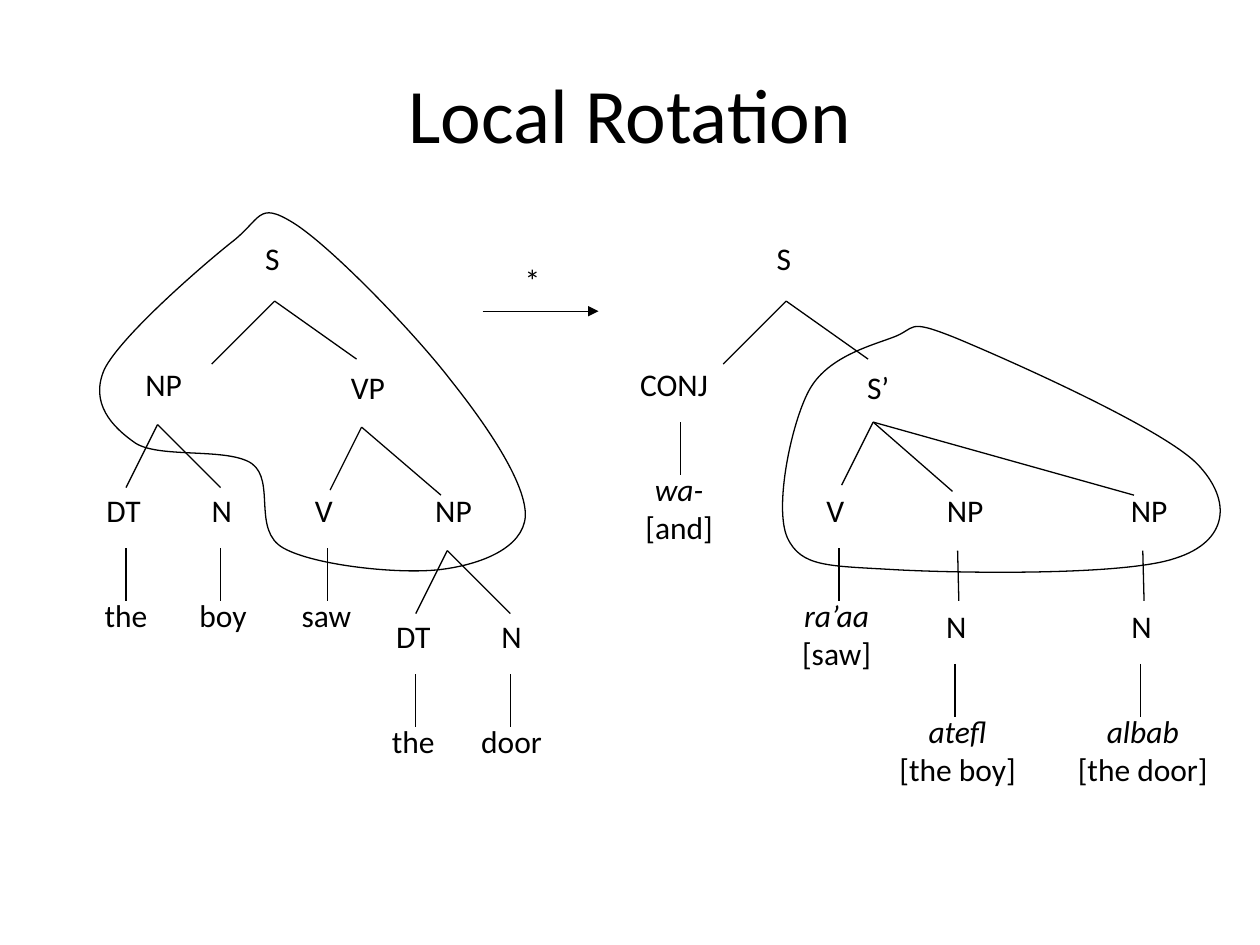
from pptx import Presentation
from pptx.dml.color import RGBColor
from pptx.enum.shapes import MSO_CONNECTOR
from pptx.enum.text import MSO_ANCHOR, MSO_AUTO_SIZE, PP_ALIGN
from pptx.oxml.ns import qn
from pptx.util import Inches, Pt
from lxml.etree import SubElement

COLORS = {"ink": "000000", "paper": "FFFFFF"}
FONT = "Calibri"

# Grid: ten columns across; tree levels one row apart, counted from the roots
COL = ROW = Inches(1)
ROOT_TOP = Inches(1.85)
LABEL_H, LINE_H = 0.5, 0.4
STEM = 0.42

# Label box widths in columns
WIDTHS = {"S": 0.39, "*": 0.37, "NP": 0.63, "VP": 0.63, "DT": 0.65, "N": 0.44,
          "V": 0.44, "S’": 0.5, "CONJ": 1.04, "the": 0.61, "boy": 0.7,
          "saw": 0.72, "door": 0.81, "wa-": 0.9, "ra’aa": 0.94,
          "atefl": 1.41, "albab": 1.52}

# Labels: text, centre column, level
SOURCE_NODES = [
    ("S", 2.2, 0), ("NP", 1.3, 1), ("VP", 2.92, 1.02),
    ("DT", 0.98, 2), ("N", 1.76, 2), ("V", 2.57, 2), ("NP", 3.6, 2),
    ("the", 1, 2.83), ("boy", 1.77, 2.83), ("saw", 2.59, 2.83),
    ("DT", 3.28, 3), ("N", 4.06, 3), ("the", 3.28, 3.83), ("door", 4.06, 3.83),
]
TARGET_NODES = [
    ("S", 6.26, 0), ("CONJ", 5.35, 1), ("S’", 6.97, 1.02),
    ("V", 6.63, 2), ("NP", 7.66, 2), ("NP", 9.12, 2),
    ("N", 7.59, 2.92), ("N", 9.06, 2.92),
]
# Words with a gloss: word, gloss, centre column, level
GLOSSES = [
    ("wa-", "[and]", 5.39, 1.83), ("ra’aa", "[saw]", 6.64, 2.83),
    ("atefl", "[the boy]", 7.6, 3.75), ("albab", "[the door]", 9.07, 3.75),
]

# Branches: parent point, then the offsets of the children
BRANCHES = [
    ((2.18, 0.54), [(-0.5, 0.5), (0.65, 0.46)]),
    ((1.25, 1.52), [(0.5, 0.5), (-0.25, 0.5)]),
    ((2.87, 1.54), [(0.63, 0.54), (-0.25, 0.5)]),
    ((3.55, 2.52), [(0.5, 0.5), (-0.25, 0.5)]),
    ((6.24, 0.54), [(-0.5, 0.5), (0.65, 0.46)]),
    ((6.93, 1.5), [(0.63, 0.55), (-0.25, 0.5), (2.07, 0.58)]),
    ((7.6, 2.52), [(0.01, 0.4)]),
    ((9.07, 2.52), [(0.01, 0.4)]),
]
# Tops of the vertical stems above the words
STEMS = [(1, 2.5), (1.75, 2.5), (2.6, 2.5), (3.3, 3.5), (4.05, 3.5),
         (5.4, 1.5), (6.66, 2.5), (7.58, 3.42), (9.05, 3.42)]

# Loops round the rotated parts: start, then curves of three points each
SOURCE_LOOP = [
    (1.83, 0.08),
    (1.58, 0.28), (0.96, 0.82), (0.83, 1.08),
    (0.71, 1.35), (0.89, 1.54), (1.08, 1.67),
    (1.28, 1.79), (1.81, 1.7), (2, 1.83),
    (2.19, 1.97), (2, 2.36), (2.25, 2.5),
    (2.5, 2.64), (3.18, 2.71), (3.5, 2.67),
    (3.82, 2.63), (4.15, 2.5), (4.17, 2.25),
    (4.18, 2), (3.89, 1.56), (3.58, 1.17),
    (3.28, 0.78), (2.62, 0.1), (2.33, -0.08),
    (2.04, -0.26), (2.08, -0.11), (1.83, 0.08),
]
TARGET_LOOP = [
    (7.08, 0.83),
    (6.89, 0.9), (6.56, 0.99), (6.42, 1.25),
    (6.28, 1.51), (6.14, 2.18), (6.25, 2.42),
    (6.36, 2.65), (6.57, 2.64), (7.08, 2.67),
    (7.6, 2.7), (8.93, 2.72), (9.33, 2.58),
    (9.74, 2.45), (9.79, 2.13), (9.5, 1.83),
    (9.21, 1.54), (7.99, 1), (7.58, 0.83),
    (7.18, 0.67), (7.28, 0.76), (7.08, 0.83),
]


def place(col, level):
    return int(col * COL), int(ROOT_TOP + level * ROW)


def color(name):
    return RGBColor.from_string(COLORS[name])


def add_text(slide, lines, box, size=18, align=PP_ALIGN.CENTER,
             anchor=MSO_ANCHOR.TOP, wrap=False, italic_first=False):
    tf = slide.shapes.add_textbox(*box).text_frame
    tf.word_wrap = wrap
    tf.auto_size = MSO_AUTO_SIZE.NONE if wrap else MSO_AUTO_SIZE.SHAPE_TO_FIT_TEXT
    tf.vertical_anchor = anchor
    for i, line in enumerate(lines):
        p = tf.paragraphs[0] if i == 0 else tf.add_paragraph()
        p.alignment = align
        r = p.add_run()
        r.text = line
        r.font.name, r.font.size = FONT, Pt(size)
        r.font.color.rgb = color("ink")
        r.font.italic = italic_first and i == 0


def add_label(slide, lines, col, level, **fmt):
    width = WIDTHS[lines[0]]
    height = LABEL_H + LINE_H * (len(lines) - 1)
    x, y = place(col - width / 2, level)
    add_text(slide, lines, (x, y, int(width * COL), int(height * ROW)), **fmt)


def set_outline(sp):
    sp.line.color.rgb = color("ink")
    sp.line.width = Pt(0.75)


def add_line(slide, start, end, arrow=False):
    sp = slide.shapes.add_connector(MSO_CONNECTOR.STRAIGHT,
                                    *place(*start), *place(*end))
    set_outline(sp)
    if arrow:
        SubElement(sp.line._get_or_add_ln(), qn("a:tailEnd"), type="triangle")
    SubElement(sp._element.spPr, qn("a:effectLst"))


def add_loop(slide, points):
    start, *rest = [place(*pt) for pt in points]
    builder = slide.shapes.build_freeform(*start)
    builder.add_line_segments(rest, close=True)
    sp = builder.convert_to_shape()
    # Turn every three straight segments into one Bézier curve
    segments = list(sp._element.iter(qn("a:lnTo")))
    for i in range(0, len(points) - 1, 3):
        first, *others = segments[i:i + 3]
        first.tag = qn("a:cubicBezTo")
        for seg in others:
            first.append(seg[0])
            seg.getparent().remove(seg)
    sp.fill.background()
    sp.shadow.inherit = False
    set_outline(sp)


def main():
    prs = Presentation()
    prs.slide_width, prs.slide_height = Inches(10), Inches(7.5)
    slide = prs.slides.add_slide(prs.slide_layouts[6])
    slide.background.fill.solid()
    slide.background.fill.fore_color.rgb = color("paper")

    # Title
    add_text(slide, ["Local Rotation"],
             [Inches(v) for v in (0.75, 0.27, 8.5, 1.25)],
             size=44, anchor=MSO_ANCHOR.MIDDLE, wrap=True)

    # Tree labels
    for text, col, level in SOURCE_NODES + TARGET_NODES:
        align = PP_ALIGN.LEFT if text == "S" else PP_ALIGN.CENTER
        add_label(slide, [text], col, level, align=align)
    for word, gloss, col, level in GLOSSES:
        add_label(slide, [word, gloss], col, level, italic_first=True)

    # Branches and stems
    for (x, y), children in BRANCHES:
        for dx, dy in children:
            add_line(slide, (x, y), (x + dx, y + dy))
    for x, y in STEMS:
        add_line(slide, (x, y), (x, y + STEM))

    # Rewriting arrow
    add_line(slide, (3.83, 0.62), (4.75, 0.62), arrow=True)
    add_label(slide, ["*"], 4.25, 0.17, align=PP_ALIGN.LEFT)

    # Loops
    for loop in (SOURCE_LOOP, TARGET_LOOP):
        add_loop(slide, loop)

    prs.save("out.pptx")


if __name__ == "__main__":
    main()
